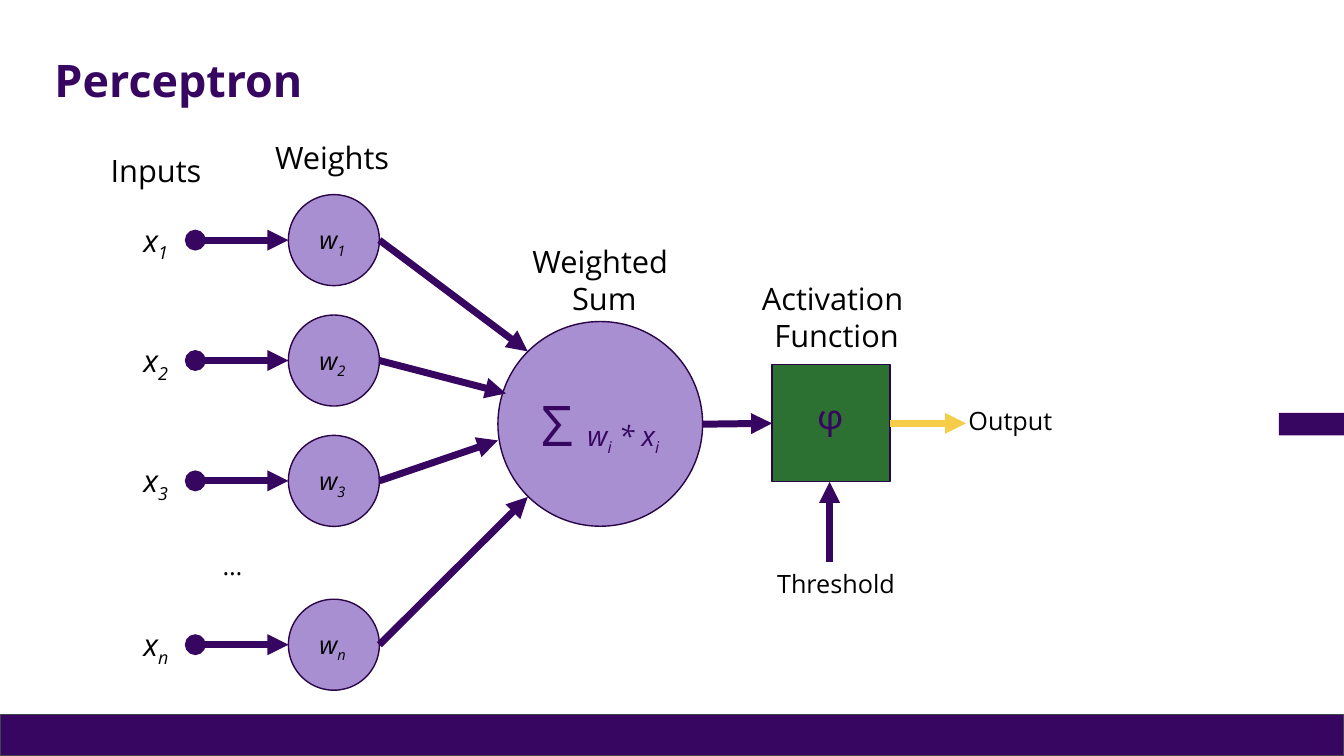
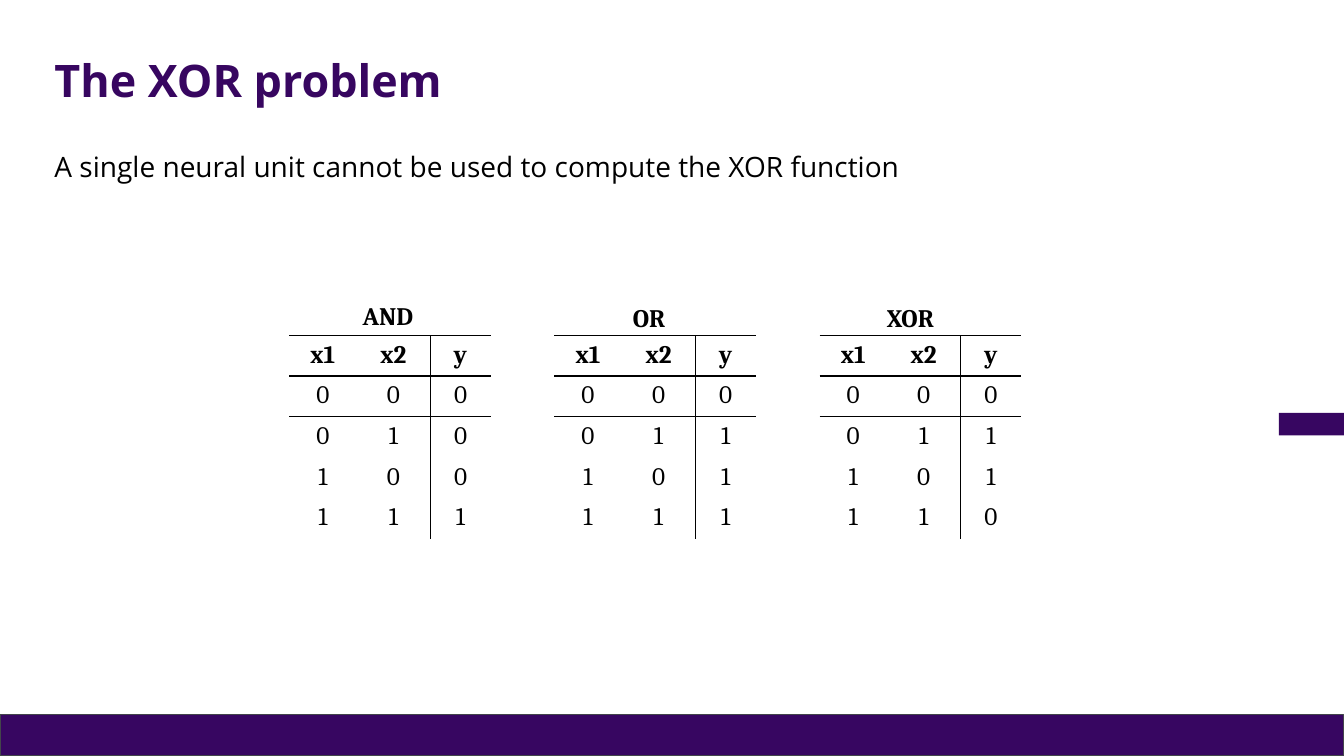
import pptx
import pptx.dml.color
import pptx.enum.shapes
import pptx.enum.text
import pptx.oxml
import pptx.oxml.ns
import pptx.util

Pt = pptx.util.Pt
rgb = pptx.dml.color.RGBColor.from_string
qn = pptx.oxml.ns.qn
SHAPE = pptx.enum.shapes.MSO_SHAPE
ALIGN = pptx.enum.text.PP_ALIGN
ANCHOR = pptx.enum.text.MSO_ANCHOR
NO_STYLE = "{2D5ABB26-0587-4C30-8999-92F81FD0307C}"

BAND, PURPLE, LILAC, OUTLINE = "370661", "370660", "A88FD1", "290447"
GREEN, YELLOW, BLACK = "2D7132", "F5CD4B", "000000"


def write(p, text, size=18, color=BLACK, font="Open Sans", bold=False,
          italic=False, align=ALIGN.LEFT):
    """Add text to a paragraph; parts between underscores are subscripts."""
    p.alignment = align
    for i, part in enumerate(text.split("_")):
        if part:
            r = p.add_run()
            r.text = part
            r.font.size, r.font.name = Pt(size), font
            r.font.bold, r.font.italic = bold, italic
            r.font.color.rgb = rgb(color)
            if i % 2:
                r.font._element.set("baseline", "-25000")


def add_box(s, kind, x, y, w, h, fill, line=None, weight=1):
    sp = s.shapes.add_shape(kind, Pt(x), Pt(y), Pt(w), Pt(h))
    sp.shadow.inherit = False
    sp.fill.solid()
    sp.fill.fore_color.rgb = rgb(fill)
    if line:
        sp.line.color.rgb = rgb(line)
        sp.line.width = Pt(weight)
    else:
        sp.line.fill.background()
    sp.text_frame.vertical_anchor = ANCHOR.MIDDLE
    return sp


prs = pptx.Presentation()
prs.slide_width, prs.slide_height = Pt(960), Pt(540)

# Slides with their titles
perceptron = prs.slides.add_slide(prs.slide_layouts[5])
xor = prs.slides.add_slide(prs.slide_layouts[1])
for s, title in ((perceptron, "Perceptron"), (xor, "The XOR problem")):
    sp = s.shapes.title
    sp.left, sp.top, sp.width, sp.height = Pt(31.7), Pt(28.8), Pt(862.6), Pt(60.5)
    sp.text_frame.vertical_anchor = ANCHOR.MIDDLE
    p = sp.text_frame.paragraphs[0]
    p.line_spacing = 0.9
    write(p, title, size=32, color=PURPLE, bold=True)

# Footer band and side tab, moved to the master
band = add_box(perceptron, SHAPE.RECTANGLE, 0, 510.5, 960, 29.5, BAND, "43454B", 0.75)
tab = add_box(perceptron, SHAPE.RECTANGLE, 913.5, 295, 46.5, 16, BAND)
for i, sp in enumerate((band, tab)):
    sp.element.nvSpPr.cNvPr.set("id", str(100 + i))
    prs.slide_master.shapes.element.append(sp.element)

# Perceptron: text, left, top, width, height, size, italic, alignment
s = perceptron
labels = [
    ("Weights", 189.4, 95.8, 97, 34, 22, False, ALIGN.LEFT),
    ("Inputs", 72, 105, 80, 34, 22, False, ALIGN.LEFT),
    ("…", 152, 389.5, 29, 29, 18, False, ALIGN.LEFT),
    ("Activation \nFunction", 536.4, 196.6, 122.4, 60.5, 22, False, ALIGN.CENTER),
    ("Weighted \nSum", 372.2, 170, 118.8, 60.5, 22, False, ALIGN.CENTER),
    ("Threshold", 547.2, 402.5, 100, 29, 18, False, ALIGN.CENTER),
    ("Output", 684.7, 285.8, 75, 29, 18, False, ALIGN.LEFT),
]
arrows = [
    (501.9, 303, 551.5, 302.4, PURPLE, False),
    (592.6, 401.8, 592.6, 344.2, PURPLE, False),
    (635.8, 302.4, 690, 302.4, YELLOW, False),
]

# Input rows: index, centre height, arrow end at the sum
d = 65
for n, cy, end_x, end_y in (("1", 171.5, 377, 251), ("2", 257.5, 361.4, 281),
                            ("3", 343.5, 355.7, 314.6), ("n", 460.5, 377, 355)):
    add_box(s, SHAPE.OVAL, 206, cy - d / 2, d, d, LILAC, OUTLINE)
    labels.append((f"x_{n}_", 95.3, cy - 17, 34.6, 34, 22, True, ALIGN.LEFT))
    labels.append((f"w_{n}_", 221, cy - 14.5, 34.6, 29, 18, True, ALIGN.LEFT))
    arrows.append((139.5, cy, 206, cy, PURPLE, True))
    arrows.append((206 + d, cy, end_x, end_y, PURPLE, False))

# Weighted sum and activation function
sp = add_box(s, SHAPE.OVAL, 355.7, 229.7, 146.2, 146.2, LILAC, OUTLINE)
p = sp.text_frame.paragraphs[0]
write(p, "Σ ", size=40, color=PURPLE, align=ALIGN.CENTER)
write(p, "w_i_ * x_i_", size=20, color=PURPLE, italic=True, align=ALIGN.CENTER)
sp = add_box(s, SHAPE.RECTANGLE, 551.5, 260.6, 84.2, 83.5, GREEN, OUTLINE)
write(sp.text_frame.paragraphs[0], "ᵠ", size=40, color=PURPLE, align=ALIGN.CENTER)

# Arrows
for x1, y1, x2, y2, color, dot in arrows:
    c = s.shapes.add_connector(pptx.enum.shapes.MSO_CONNECTOR.STRAIGHT,
                               Pt(x1), Pt(y1), Pt(x2), Pt(y2))
    c.line.color.rgb = rgb(color)
    c.line.width = Pt(5)
    ln = c.line._get_or_add_ln()
    if dot:
        ln.append(ln.makeelement(qn("a:headEnd"), {"type": "oval"}))
    ln.append(ln.makeelement(qn("a:tailEnd"), {"type": "triangle"}))
    sp_pr = c.element.spPr
    sp_pr.append(sp_pr.makeelement(qn("a:effectLst"), {}))

# Labels
for text, x, y, w, h, size, italic, align in labels:
    tf = s.shapes.add_textbox(Pt(x), Pt(y), Pt(w), Pt(h)).text_frame
    tf.word_wrap = False
    for i, row in enumerate(text.split("\n")):
        p = tf.add_paragraph() if i else tf.paragraphs[0]
        write(p, row, size=size, italic=italic, align=align)

# XOR problem: statement
s = xor
sp = s.placeholders[1]
sp.left, sp.top, sp.width, sp.height = Pt(31.7), Pt(105.8), Pt(828), Pt(377)
sp.text_frame.auto_size = pptx.enum.text.MSO_AUTO_SIZE.NONE
p = sp.text_frame.paragraphs[0]
p_pr = p._p.get_or_add_pPr()
p_pr.set("marL", "0")
p_pr.set("indent", "0")
p_pr.append(p_pr.makeelement(qn("a:buNone"), {}))
p.line_spacing, p.space_before = 0.9, Pt(0)
write(p, "A single neural unit cannot be used to compute the XOR function", size=20)

# Truth tables: name, name position, outputs
inputs = ("00", "01", "10", "11")
for i, (name, x, y, outputs) in enumerate((("AND", 252, 211, "0001"),
                                           ("OR", 445, 212.4, "0111"),
                                           ("XOR", 626.4, 212.4, "0110"))):
    tf = s.shapes.add_textbox(Pt(x), Pt(y), Pt(84), Pt(29)).text_frame
    tf.word_wrap = True
    write(tf.paragraphs[0], name, font="Cambria", bold=True)

    rows = [("x1", "x2", "y")] + [(*pair, out) for pair, out in zip(inputs, outputs)]
    tbl = s.shapes.add_table(5, 3, Pt(206.6 + 189.4 * i), Pt(239.8),
                             Pt(144), Pt(145.2)).table
    tbl.first_row = tbl.horz_banding = False
    tbl._tbl.tblPr.find(qn("a:tableStyleId")).text = NO_STYLE
    for col, width in zip(tbl.columns, (48, 52.8, 43.2)):
        col.width = Pt(width)
    for j, row in enumerate(rows):
        tbl.rows[j].height = Pt(29.1 if j else 28.8)
        for k, value in enumerate(row):
            cell = tbl.cell(j, k)
            write(cell.text_frame.paragraphs[0], value, font="Cambria",
                  bold=j == 0, align=ALIGN.CENTER)
            tc_pr = cell._tc.get_or_add_tcPr()
            for side, shown in (("L", k == 2), ("R", k == 1),
                                ("T", j < 2), ("B", j == 0)):
                if shown:
                    tc_pr.append(pptx.oxml.parse_xml(
                        f'<a:ln{side} {pptx.oxml.ns.nsdecls("a")} w="12700"><a:solidFill>'
                        f'<a:srgbClr val="{BLACK}"/></a:solidFill></a:ln{side}>'))
            cell.fill.background()

prs.save("out.pptx")
